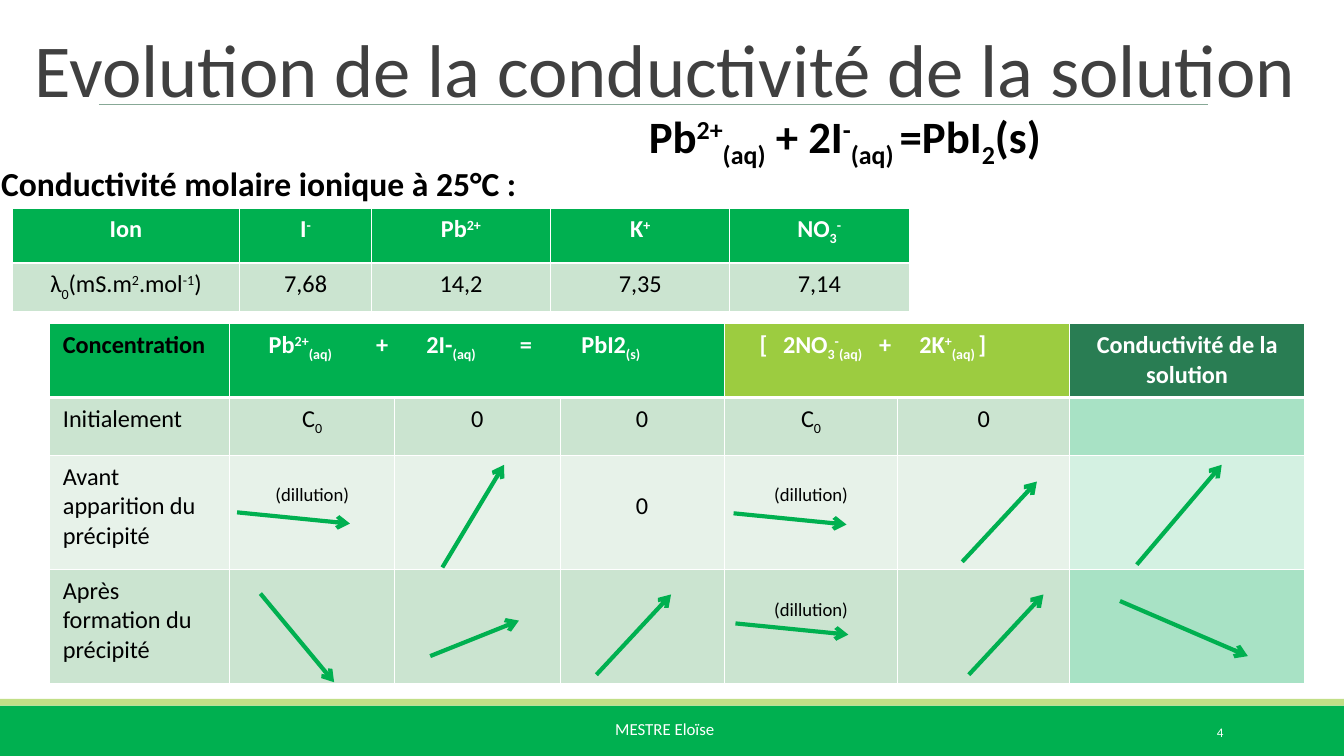
from lxml.etree import SubElement
from pptx import Presentation
from pptx.dml.color import RGBColor
from pptx.enum.shapes import MSO_CONNECTOR, MSO_SHAPE
from pptx.enum.text import MSO_ANCHOR, PP_ALIGN
from pptx.oxml.ns import qn
from pptx.util import Pt

GREEN = RGBColor(0x00, 0xB0, 0x50)
LIME = RGBColor(0x9C, 0xCC, 0x40)
PALE_LIME = RGBColor(0xC1, 0xDF, 0x87)
DARK_GREEN = RGBColor(0x29, 0x7D, 0x53)
BAND = RGBColor(0xCB, 0xE4, 0xD0)
LIGHT_BAND = RGBColor(0xE7, 0xF2, 0xE9)
MINT = RGBColor(0xA8, 0xE2, 0xC5)
LIGHT_MINT = RGBColor(0xD4, 0xF1, 0xE2)
RULE = RGBColor(0x87, 0xA8, 0x96)
TITLE_GREY = RGBColor(0x40, 0x40, 0x40)
BLACK = RGBColor(0x00, 0x00, 0x00)
WHITE = RGBColor(0xFF, 0xFF, 0xFF)

FONT = "Calibri"
BASELINES = {"^": "30000", "_": "-25000"}
LEFT, CENTER, RIGHT = PP_ALIGN.LEFT, PP_ALIGN.CENTER, PP_ALIGN.RIGHT


def write(frame, text, size, color, bold=False, align=LEFT, spacing=None):
    """Runs are parted by |; a leading ^ raises a run and _ lowers it."""
    paragraph = frame.paragraphs[0]
    paragraph.alignment = align
    if spacing:
        paragraph.line_spacing = spacing
    font = paragraph.font
    font.name, font.size, font.bold = FONT, Pt(size), bold
    font.color.rgb = color
    for part in text.split("|"):
        run = paragraph.add_run()
        run.text = part.lstrip("^_")
        if part[:1] in BASELINES:
            run._r.get_or_add_rPr().set("baseline", BASELINES[part[0]])
    return paragraph


def add_text(slide, box, text, size, color, insets=(7.2, 3.6),
             anchor=MSO_ANCHOR.TOP, **style):
    frame = slide.shapes.add_textbox(*map(Pt, box)).text_frame
    frame.word_wrap = True
    frame.vertical_anchor = anchor
    frame.margin_left = frame.margin_right = Pt(insets[0])
    frame.margin_top = frame.margin_bottom = Pt(insets[1])
    write(frame, text, size, color, **style)


def add_bar(slide, top, height, color):
    bar = slide.shapes.add_shape(MSO_SHAPE.RECTANGLE, Pt(0), Pt(top), Pt(720), Pt(height))
    bar.shadow.inherit = False
    bar.fill.solid()
    bar.fill.fore_color.rgb = color
    bar.line.fill.background()


def add_line(slide, start, delta, color, width, arrow=False):
    x, y = start
    dx, dy = delta
    line = slide.shapes.add_connector(
        MSO_CONNECTOR.STRAIGHT, Pt(x), Pt(y), Pt(x + dx), Pt(y + dy))
    line.line.color.rgb = color
    line.line.width = Pt(width)
    if arrow:
        SubElement(line.line._get_or_add_ln(), qn("a:tailEnd"), type="arrow")
    SubElement(line._element.spPr, qn("a:effectLst"))


def add_grid(slide, left, top, widths, heights):
    table = slide.shapes.add_table(
        len(heights), len(widths), Pt(left), Pt(top),
        Pt(sum(widths)), Pt(sum(heights))).table
    for column, width in zip(table.columns, widths):
        column.width = Pt(width)
    for row, height in zip(table.rows, heights):
        row.height = Pt(height)
    return table


def paint_cell(cell, row, color):
    """White borders, thicker below the header row, then the fill."""
    properties = cell._tc.get_or_add_tcPr()
    thick_side = {0: "lnB", 1: "lnT"}.get(row)
    for side in ("lnL", "lnR", "lnT", "lnB"):
        width = Pt(1.47 if side == thick_side else 0.45)
        border = SubElement(properties, qn("a:" + side), w=str(width))
        fill = SubElement(border, qn("a:solidFill"))
        SubElement(fill, qn("a:srgbClr"), val=str(WHITE))
    cell.fill.solid()
    cell.fill.fore_color.rgb = color


def write_equation(cell, text, indent, stops):
    cell.margin_left = Pt(indent)
    paragraph = write(cell.text_frame, text, 13, WHITE, bold=True)
    tabs = SubElement(paragraph._p.get_or_add_pPr(), qn("a:tabLst"))
    tabs.getparent().insert(0, tabs)  # tab stops precede the default font
    for stop in stops:
        SubElement(tabs, qn("a:tab"), pos=str(Pt(stop)), algn="l")


def add_ion_table(slide):
    rows = [
        ["Ion", "I|^-", "Pb|^2+", "K|^+", "NO|_3|^-"],
        ["λ|_0|(mS.m|^2|.mol|^-1|)", "7,68", "14,2", "7,35", "7,14"],
    ]
    table = add_grid(slide, 6.5, 111.5, [122, 70.5, 96, 96, 96], [29.5, 26])
    for r, row in enumerate(rows):
        header = r == 0
        for c, text in enumerate(row):
            cell = table.cell(r, c)
            paint_cell(cell, r, GREEN if header else BAND)
            write(cell.text_frame, text, 13, WHITE if header else BLACK,
                  bold=header, align=CENTER, spacing=0.9 if r and not c else None)


def add_evolution_table(slide):
    table = add_grid(slide, 26.5, 173.5, [96.5, 88.5, 88.5, 88, 93, 92, 126],
                     [39.5, 31, 61, 61])
    fills = [
        [GREEN] * 4 + [LIME] * 2 + [DARK_GREEN],
        [BAND] * 6 + [MINT],
        [LIGHT_BAND] * 6 + [LIGHT_MINT],
        [BAND] * 6 + [MINT],
    ]
    for r, row in enumerate(fills):
        for c, color in enumerate(row):
            paint_cell(table.cell(r, c), r, color)

    # Header with the reaction and the spectator ions
    table.cell(0, 1).merge(table.cell(0, 3))
    table.cell(0, 4).merge(table.cell(0, 5))
    write_equation(table.cell(0, 1), "Pb|^2+|_(aq)|\t+\t2I-|_(aq)|\t=\tPbI2|_(s)",
                   21, [57.5, 84.5, 134.5, 167.5])
    write_equation(table.cell(0, 4), "[\t2NO|_3|^-|_(aq)|\t+\t2K|^+|_(aq) |]",
                   19, [12.5, 64, 85.5])
    write(table.cell(0, 6).text_frame, "Conductivité de la solution", 13, WHITE,
          bold=True, align=CENTER)

    # Stages
    stages = ["Concentration", "Initialement", "Avant apparition du précipité",
              "Après formation du précipité"]
    for r, stage in enumerate(stages):
        write(table.cell(r, 0).text_frame, stage, 13, BLACK, bold=r == 0)

    # Initial concentrations
    for c, amount in enumerate(["C|_0", "0", "0", "C|_0", "0"], start=1):
        write(table.cell(1, c).text_frame, amount, 13, BLACK, align=CENTER)

    # Notes set lower in their cells
    notes = [(2, 1, "(dillution)", 10, 15), (2, 3, "0", 13, 19.5),
             (2, 4, "(dillution)", 10, 15), (3, 4, "(dillution)", 10, 16)]
    for r, c, text, size, drop in notes:
        cell = table.cell(r, c)
        cell.margin_top = Pt(drop)
        write(cell.text_frame, text, size, BLACK, align=CENTER)


def add_trends(slide):
    dilution, rise = (60.5, 6), (40, -43)
    trends = [
        # Before the precipitate appears
        ((127, 274.5), dilution), ((237, 304), (33, -55)),
        ((393, 275), dilution), ((515.5, 301), rise),
        ((609, 302.5), (45.5, -53.5)),
        # After the precipitate forms
        ((139.5, 318), (39.5, 47.5)), ((230.5, 351.5), (47.5, -19)),
        ((319.5, 361.5), rise), ((394, 334), dilution),
        ((519, 361.5), rise), ((600, 322), (68.5, 29.5)),
    ]
    for start, delta in trends:
        add_line(slide, start, delta, GREEN, 2.25, arrow=True)


def main():
    deck = Presentation()
    deck.slide_width, deck.slide_height = Pt(720), Pt(405)
    slide = deck.slides.add_slide(deck.slide_layouts[6])

    # Footer
    add_bar(slide, 378, 27, GREEN)
    add_bar(slide, 374.4, 3.6, PALE_LIME)
    add_text(slide, (322.5, 381.5, 75, 29), "MESTRE Eloïse", 9, WHITE)
    add_text(slide, (584.5, 381.5, 78, 21.5), "4", 7, WHITE,
             anchor=MSO_ANCHOR.MIDDLE, align=RIGHT)

    # Title and headings
    add_line(slide, (53, 56), (594, 0), RULE, 1)
    add_text(slide, (14.5, 8, 721.5, 54.5), "Evolution de la conductivité de la solution",
             40, TITLE_GREY, insets=(4, 2), anchor=MSO_ANCHOR.BOTTOM, spacing=0.85)
    add_text(slide, (340.5, 54.5, 260.5, 40.5),
             "Pb|^2+|_(aq)| + 2I|^-|_(aq) |=PbI|_2|(s)", 24, BLACK, bold=True)
    add_text(slide, (-6.5, 83.5, 300, 29), "Conductivité molaire ionique à 25°C :",
             18, BLACK, bold=True)

    # Tables and trend arrows
    add_ion_table(slide)
    add_evolution_table(slide)
    add_trends(slide)
    deck.save("out.pptx")


if __name__ == "__main__":
    main()
